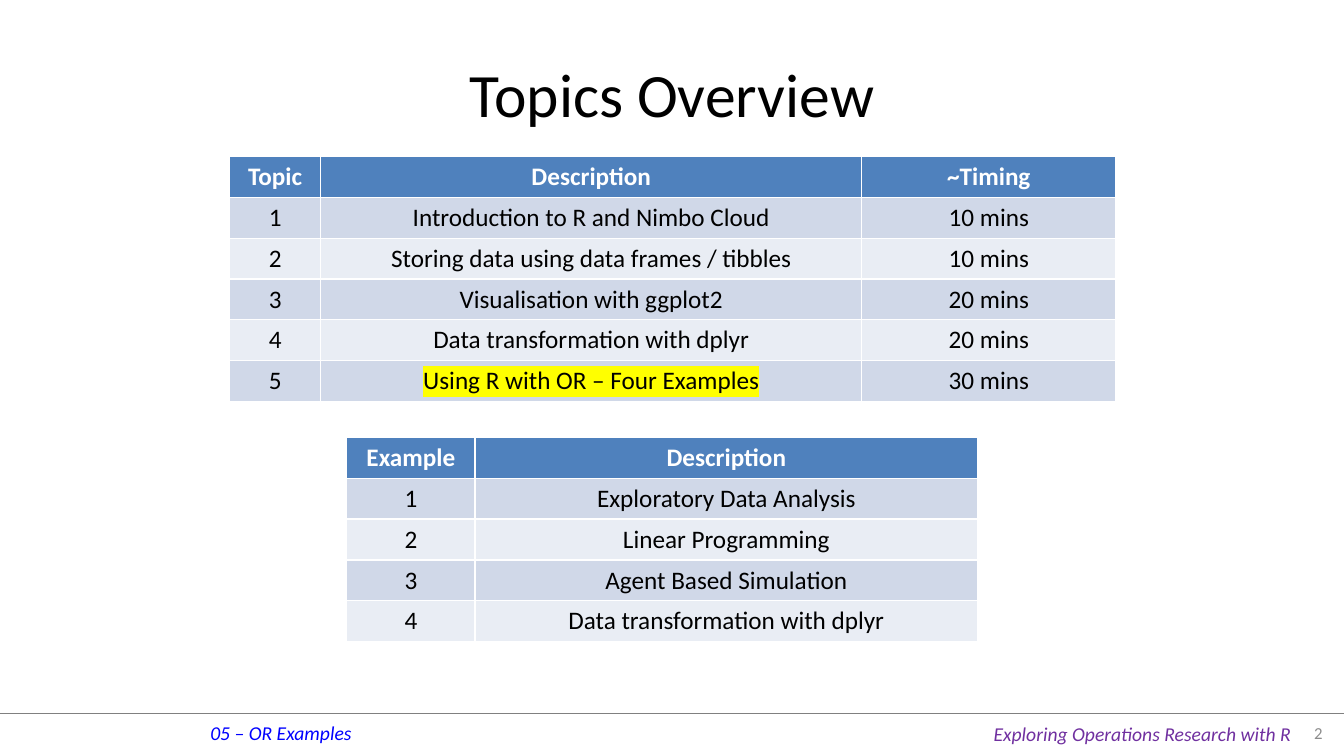
import pptx
import pptx.dml.color
import pptx.enum.shapes
import pptx.enum.text
import pptx.oxml
import pptx.oxml.ns
import pptx.util
from pptx.util import Cm

RGBColor = pptx.dml.color.RGBColor
ALIGN = pptx.enum.text.PP_ALIGN
ANCHOR = pptx.enum.text.MSO_ANCHOR

WHITE = RGBColor(0xFF, 0xFF, 0xFF)
BLACK = RGBColor(0x00, 0x00, 0x00)
GREY = RGBColor(0x80, 0x80, 0x80)
NUMBER_GREY = RGBColor(0x8C, 0x8C, 0x8C)
BLUE = RGBColor(0x00, 0x00, 0xFF)
PURPLE = RGBColor(0x70, 0x30, 0xA0)
HEADER_BLUE = RGBColor(0x4F, 0x81, 0xBD)
BAND_DARK = RGBColor(0xD0, 0xD8, 0xE8)
BAND_LIGHT = RGBColor(0xE9, 0xED, 0xF4)
YELLOW = RGBColor(0xFF, 0xFF, 0x00)

ROW_HEIGHT = 1.03
HIGHLIGHTED = "Using R with OR – Four Examples"


def write(paragraph, text, size, color, align, bold=False, italic=False):
    paragraph.add_run().text = text
    paragraph.alignment = align
    font = paragraph.font
    font.name = "Calibri"
    font.size = pptx.util.Pt(size)
    font.color.rgb = color
    font.bold = bold
    font.italic = italic


prs = pptx.Presentation()
prs.slide_width = Cm(33.87)
prs.slide_height = Cm(19.05)
slide = prs.slides.add_slide(prs.slide_layouts[6])

# Footer rule
footer_rule = slide.shapes.add_connector(
    pptx.enum.shapes.MSO_CONNECTOR.STRAIGHT, 0, Cm(17.96), prs.slide_width, Cm(17.96))
footer_rule.line.color.rgb = GREY
footer_rule.line.width = pptx.util.Pt(0.25)
footer_rule._element.spPr.append(pptx.oxml.parse_xml(
    f"<a:effectLst {pptx.oxml.ns.nsdecls('a')}/>"))

# Title, footer texts and slide number
texts = [
    ("Topics Overview", (1.7, 0.76, 30.48, 3.18), 44, BLACK, ALIGN.CENTER, ANCHOR.MIDDLE, True, False),
    ("05 – OR Examples", (5.05, 18.03, 4.11, 0.86), 14, BLUE, ALIGN.LEFT, ANCHOR.TOP, False, True),
    ("Exploring Operations Research with R", (24.79, 18.06, 8.08, 0.86), 14, PURPLE,
     ALIGN.LEFT, ANCHOR.TOP, False, True),
    ("2", (32.18, 17.96, 1.4, 0.99), 12, NUMBER_GREY, ALIGN.RIGHT, ANCHOR.MIDDLE, True, False),
]
for text, place, size, color, align, anchor, wrap, italic in texts:
    frame = slide.shapes.add_textbox(*map(Cm, place)).text_frame
    frame.word_wrap = wrap
    frame.vertical_anchor = anchor
    write(frame.paragraphs[0], text, size, color, align, italic=italic)

# Topics and examples: left, top, column widths, rows
topics = (5.79, 3.94, (2.29, 13.64, 6.4), [
    ("Topic", "Description", "~Timing"),
    ("1", "Introduction to R and Nimbo Cloud", "10 mins"),
    ("2", "Storing data using data frames / tibbles", "10 mins"),
    ("3", "Visualisation with ggplot2", "20 mins"),
    ("4", "Data transformation with dplyr", "20 mins"),
    ("5", HIGHLIGHTED, "30 mins"),
])
examples = (8.74, 11.02, (3.23, 12.67), [
    ("Example", "Description"),
    ("1", "Exploratory Data Analysis"),
    ("2", "Linear Programming"),
    ("3", "Agent Based Simulation"),
    ("4", "Data transformation with dplyr"),
])
for left, top, widths, rows in (topics, examples):
    table = slide.shapes.add_table(
        len(rows), len(widths), Cm(left), Cm(top),
        Cm(sum(widths)), Cm(ROW_HEIGHT * len(rows))).table
    for column, width in zip(table.columns, widths):
        column.width = Cm(width)
    for r, row in enumerate(rows):
        table.rows[r].height = Cm(ROW_HEIGHT)
        is_header = r == 0
        band = BAND_DARK if r % 2 else BAND_LIGHT
        for c, text in enumerate(row):
            cell = table.cell(r, c)
            cell.fill.solid()
            cell.fill.fore_color.rgb = HEADER_BLUE if is_header else band
            paragraph = cell.text_frame.paragraphs[0]
            write(paragraph, text, 18, WHITE if is_header else BLACK,
                  ALIGN.CENTER, bold=is_header)
            if text == HIGHLIGHTED:
                paragraph.runs[0]._r.get_or_add_rPr().append(pptx.oxml.parse_xml(
                    f"<a:highlight {pptx.oxml.ns.nsdecls('a')}>"
                    f'<a:srgbClr val="{YELLOW}"/></a:highlight>'))

prs.save("out.pptx")
